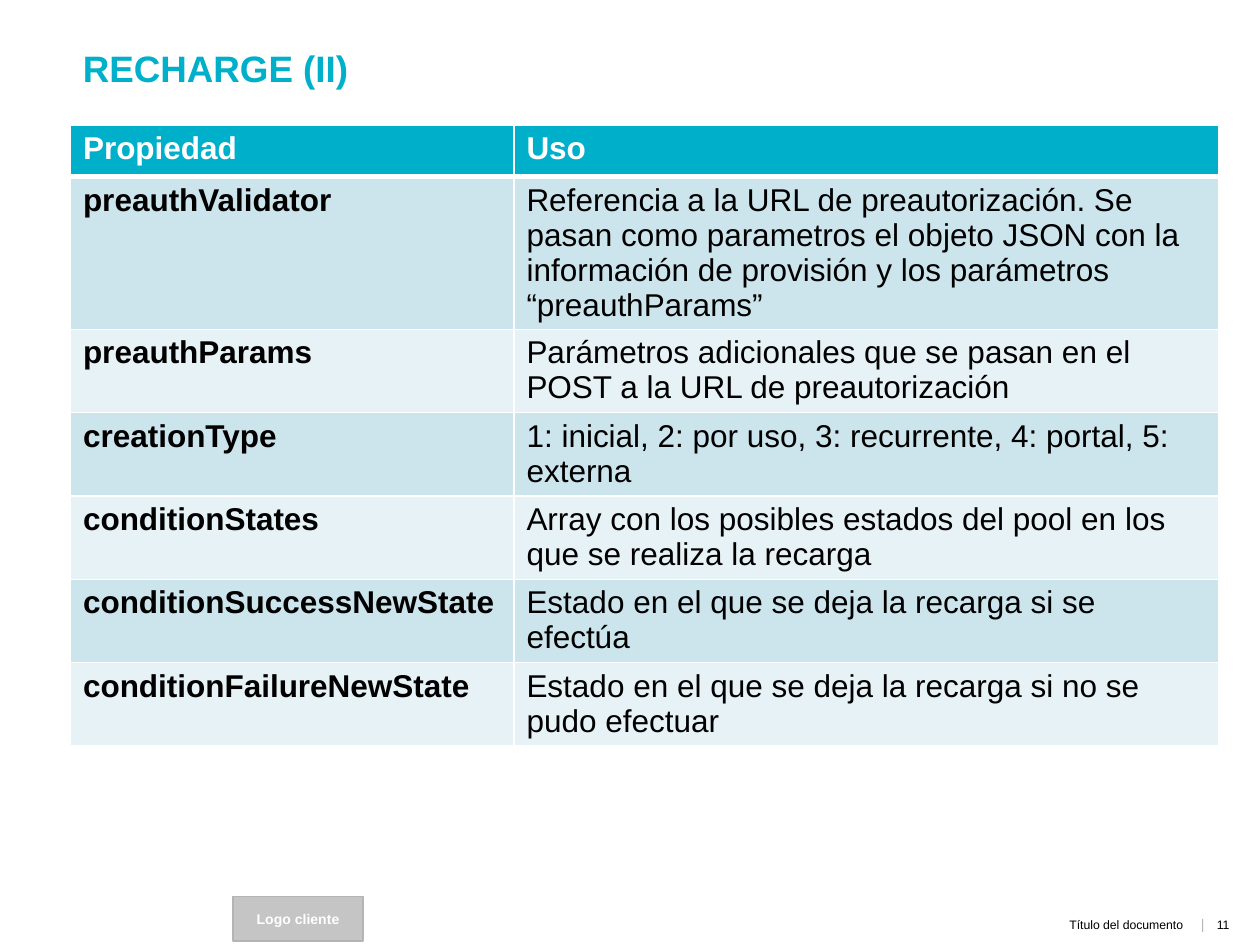
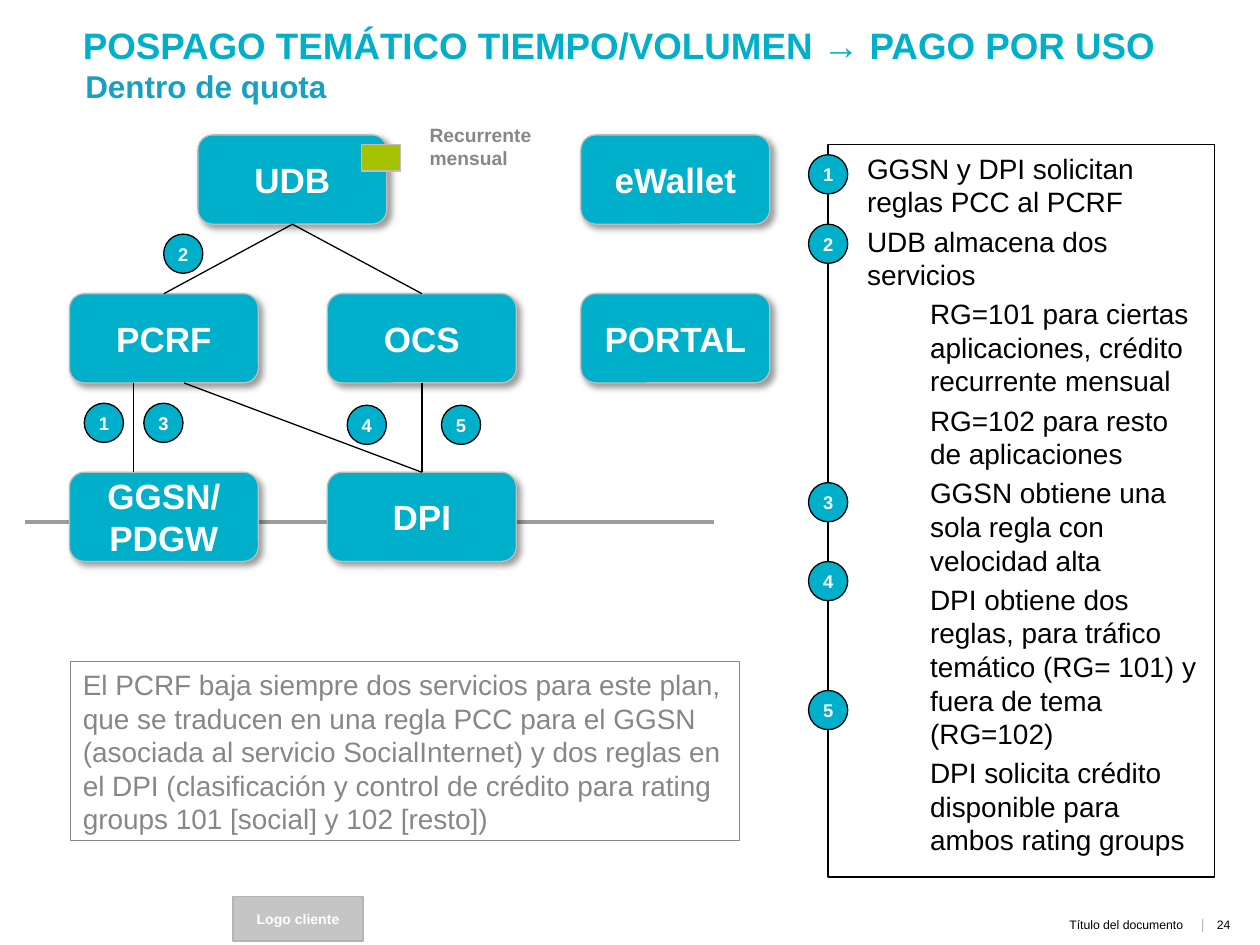
"""Build two slides: a property table and a postpaid charging diagram."""
from dataclasses import dataclass, replace

from lxml import etree
from pptx import Presentation
from pptx import util as u
from pptx.dml.color import RGBColor
from pptx.enum import shapes, text
from pptx.oxml import parse_xml
from pptx.oxml.ns import nsdecls, qn

COLORS = {
    "brand": "00B0CA", "subtitle": "17A0C1", "black": "000000", "white": "FFFFFF",
    "gray": "878787", "edge": "BDBDBD", "marker": "A4C200", "logo": "B4B4B4",
    "backbone": "9C9C9C", "divider": "B6B6B6", "band": "CCE4EC", "light_band": "E7F2F6",
}
FONT = "Arial"
SHAPE = shapes.MSO_SHAPE
LEFT, CENTER, RIGHT = text.PP_ALIGN.LEFT, text.PP_ALIGN.CENTER, text.PP_ALIGN.RIGHT
TOP, MIDDLE = text.MSO_ANCHOR.TOP, text.MSO_ANCHOR.MIDDLE
INSETS = (0.25, 0.13, 0.25, 0.13)
NO_INSETS = (0, 0, 0, 0)
SIDE_TOP, SIDE_BOTTOM = 0, 2


@dataclass(frozen=True)
class Style:
    size: float
    color: str = "black"
    bold: bool = False
    align: int = LEFT
    anchor: int = TOP
    insets: tuple = INSETS
    line_pitch: float = 0
    before: float = 0
    wrap: bool = True


@dataclass(frozen=True)
class Area:
    left: float
    top: float
    width: float
    height: float

    def lengths(self) -> list:
        return [u.Cm(v) for v in (self.left, self.top, self.width, self.height)]


@dataclass(frozen=True)
class Node:
    label: str
    left: float
    top: float


@dataclass(frozen=True)
class Badge:
    number: int
    left: float
    top: float


TITLE = Style(21, "brand", True)
SUBTITLE = Style(18, "subtitle", True, wrap=False)
FOOTER = Style(7, align=RIGHT, anchor=MIDDLE, insets=NO_INSETS)
DIVIDER = replace(FOOTER, size=8, color="divider")
PAGE_NUMBER = Style(7)
LOGO = Style(8, "white", True, CENTER, MIDDLE)
CELL = Style(18, line_pitch=20)
NODE = Style(20, "white", True, CENTER, MIDDLE, line_pitch=24)
BADGE = Style(10.5, "white", True, CENTER, MIDDLE, NO_INSETS, wrap=False)
BODY = Style(16, "gray", line_pitch=19.2, before=3.2)
STEPS = replace(BODY, color="black", insets=(0.79, 0.13, 0.2, 0.13))
CAPTION = Style(11, "gray", True, line_pitch=13.2)

NODE_WIDTH, NODE_HEIGHT = 3.81, 1.8
COLUMNS = (1.4, 6.6, 11.71)
ROWS = (2.72, 5.92, 9.52)
NODES = (
    Node("UDB", 3.99, ROWS[0]), Node("eWallet", COLUMNS[2], ROWS[0]),
    Node("PCRF", COLUMNS[0], ROWS[1]), Node("OCS", COLUMNS[1], ROWS[1]),
    Node("PORTAL", COLUMNS[2], ROWS[1]),
    Node("GGSN/\nPDGW", COLUMNS[0], ROWS[2]), Node("DPI", COLUMNS[1], ROWS[2]),
)
LINKS = (("UDB", "PCRF"), ("UDB", "OCS"), ("OCS", "DPI"))
BADGE_SIZE = 0.79
STEP_LEFT = 16.3
BADGES = (
    Badge(2, 3.3, 4.72), Badge(1, 1.7, 8.13), Badge(3, 2.9, 8.13),
    Badge(4, 7.0, 8.17), Badge(5, 8.9, 8.17),
    *(Badge(n, STEP_LEFT, top) for n, top in enumerate((3.12, 4.52, 9.73, 11.32, 13.92), 1)),
)
STEP_TEXTS = (
    "GGSN y DPI solicitan reglas PCC al PCRF",
    "UDB almacena dos servicios",
    "RG=101 para ciertas aplicaciones, crédito recurrente mensual",
    "RG=102 para resto de aplicaciones",
    "GGSN obtiene una sola regla con velocidad alta",
    "DPI obtiene dos reglas, para tráfico temático (RG= 101) y fuera de tema (RG=102)",
    "DPI solicita crédito disponible para ambos rating groups",
)
PLAN_NOTE = (
    "El PCRF baja siempre dos servicios para este plan, que se traducen en una regla PCC "
    "para el GGSN (asociada al servicio SocialInternet) y dos reglas en el DPI (clasificación "
    "y control de crédito para rating groups 101 [social] y 102 [resto])"
)
PROPERTIES = (
    ("Propiedad", "Uso"),
    ("preauthValidator", "Referencia a la URL de preautorización. Se pasan como parametros el "
     "objeto JSON con la información de provisión y los parámetros “preauthParams”"),
    ("preauthParams", "Parámetros adicionales que se pasan en el POST a la URL de preautorización"),
    ("creationType", "1: inicial, 2: por uso, 3: recurrente, 4: portal, 5: externa"),
    ("conditionStates", "Array con los posibles estados del pool en los que se realiza la recarga"),
    ("conditionSuccessNewState", "Estado en el que se deja la recarga si se efectúa"),
    ("conditionFailureNewState", "Estado en el que se deja la recarga si no se pudo efectuar"),
)
PROPERTY_WIDTHS = (8.94, 14.2)
PROPERTY_HEIGHTS = (1.04, 3.07, *[1.68] * 5)


def rgb(name: str) -> RGBColor:
    return RGBColor.from_string(COLORS[name])


def write(frame, lines, style: Style) -> None:
    for index, line in enumerate(lines):
        para = frame.paragraphs[0] if index == 0 else frame.add_paragraph()
        para.alignment = style.align
        if style.line_pitch:
            para.line_spacing = u.Pt(style.line_pitch)
        if style.before:
            para.space_before = u.Pt(style.before)
        span = para.add_run()
        span.text = line
        span.font.name, span.font.size = FONT, u.Pt(style.size)
        span.font.bold, span.font.color.rgb = style.bold, rgb(style.color)


def fill_frame(box, lines, style: Style) -> None:
    frame = box.text_frame
    frame.word_wrap, frame.vertical_anchor = style.wrap, style.anchor
    (frame.margin_left, frame.margin_top,
     frame.margin_right, frame.margin_bottom) = [u.Cm(v) for v in style.insets]
    write(frame, lines, style)


def add_text(page, area: Area, line: str, style: Style) -> None:
    fill_frame(page.shapes.add_textbox(*area.lengths()), [line], style)


def add_box(page, kind, area: Area, fill: str, edge: str, lines=(), style: Style = BODY):
    box = page.shapes.add_shape(kind, *area.lengths())
    box.shadow.inherit = False
    if fill:
        box.fill.solid()
        box.fill.fore_color.rgb = rgb(fill)
    else:
        box.fill.background()
    box.line.color.rgb, box.line.width = rgb(edge), u.Pt(0.75)
    fill_frame(box, lines, style)
    return box


def add_line(page, start: tuple, end: tuple, color: str = "black", width: float = 0.75):
    line = page.shapes.add_connector(
        shapes.MSO_CONNECTOR.STRAIGHT, *[u.Cm(v) for v in (*start, *end)])
    line.line.color.rgb, line.line.width = rgb(color), u.Pt(width)
    etree.SubElement(line._element.spPr, qn("a:effectLst"))
    return line


def add_node(page, node: Node):
    area = Area(node.left, node.top, NODE_WIDTH, NODE_HEIGHT)
    box = add_box(page, SHAPE.ROUNDED_RECTANGLE, area, "brand", "edge",
                  node.label.split("\n"), NODE)
    box._element.spPr.find(qn("a:effectLst")).append(parse_xml(
        f'<a:outerShdw {nsdecls("a")} blurRad="50800" dist="38100" dir="2700000">'
        f'<a:srgbClr val="{COLORS["black"]}"><a:alpha val="40000"/></a:srgbClr></a:outerShdw>'))
    return box


def style_cell(cell, line: str, fill: str, style: Style, top: float, bottom: float) -> None:
    properties = cell._tc.get_or_add_tcPr()
    for side, width in (("L", 1), ("R", 1), ("T", top), ("B", bottom)):
        properties.append(parse_xml(
            f'<a:ln{side} {nsdecls("a")} w="{u.Pt(width)}"><a:solidFill>'
            f'<a:srgbClr val="{COLORS["white"]}"/></a:solidFill></a:ln{side}>'))
    cell.fill.solid()
    cell.fill.fore_color.rgb = rgb(fill)
    write(cell.text_frame, [line], style)


def add_page(deck, number: int, title: str, title_area: Area):
    page = deck.slides.add_slide(deck.slide_layouts[6])
    add_text(page, Area(8.66, 18.44, 15.19, 0.41), "Título del documento", FOOTER)
    add_text(page, Area(24.28, 18.36, 1.1, 0.61), str(number), PAGE_NUMBER)
    add_text(page, Area(24.08, 18.42, 0.2, 0.41), "|", DIVIDER)
    logo = add_box(page, SHAPE.RECTANGLE, Area(4.7, 18.08, 2.62, 0.89), "logo", "logo",
                   ["Logo cliente"], LOGO)
    color = logo._element.spPr.find(qn("a:solidFill")).find(qn("a:srgbClr"))
    etree.SubElement(color, qn("a:alpha")).set("val", "76000")
    add_text(page, title_area, title, TITLE)
    return page


def build_recharge(deck) -> None:
    page = add_page(deck, 11, "RECHARGE (II)", Area(1.42, 0.79, 23.09, 1.5))
    area = Area(1.42, 2.52, sum(PROPERTY_WIDTHS), sum(PROPERTY_HEIGHTS))
    table = page.shapes.add_table(len(PROPERTIES), 2, *area.lengths()).table
    table.first_row = table.horz_banding = False
    for column, width in zip(table.columns, PROPERTY_WIDTHS):
        column.width = u.Cm(width)
    for r, (row, height) in enumerate(zip(table.rows, PROPERTY_HEIGHTS)):
        row.height = u.Cm(height)
        fill = "brand" if r == 0 else ("light_band", "band")[r % 2]
        for c, line in enumerate(PROPERTIES[r]):
            style = replace(CELL, bold=r == 0 or c == 0, color="white" if r == 0 else "black")
            style_cell(row.cells[c], line, fill, style,
                       top=3 if r == 1 else 1, bottom=3 if r == 0 else 1)


def build_postpaid(deck) -> None:
    page = add_page(deck, 24, "POSPAGO TEMÁTICO TIEMPO/VOLUMEN → PAGO POR USO",
                    Area(1.42, 0.33, 23.09, 1.12))
    add_text(page, Area(1.47, 1.22, 5.44, 1.02), "Dentro de quota", SUBTITLE)
    add_line(page, (0.51, 10.52), (14.4, 10.52), "backbone", 2.25)
    add_box(page, SHAPE.RECTANGLE, Area(1.42, 13.33, 13.49, 3.61), "", "gray", [PLAN_NOTE], BODY)
    steps = add_box(page, SHAPE.RECTANGLE, Area(16.69, 2.92, 7.8, 14.76), "", "black",
                    STEP_TEXTS, STEPS)
    for para in steps.text_frame.paragraphs[2:]:
        para._p.get_or_add_pPr().set("marL", str(u.Cm(1.27)))

    boxes = {node.label: add_node(page, node) for node in NODES}
    for upper, lower in LINKS:
        link = add_line(page, (0, 0), (1, 1))
        link.begin_connect(boxes[upper], SIDE_BOTTOM)
        link.end_connect(boxes[lower], SIDE_TOP)
    pcrf_bottom = ROWS[1] + NODE_HEIGHT
    add_line(page, (2.69, ROWS[2]), (2.69, pcrf_bottom))
    rules_link = add_line(page, (COLUMNS[1] + NODE_WIDTH / 2, ROWS[2]), (3.71, pcrf_bottom))
    rules_link.begin_connect(boxes["DPI"], SIDE_TOP)

    for badge in BADGES:
        add_box(page, SHAPE.OVAL, Area(badge.left, badge.top, BADGE_SIZE, BADGE_SIZE),
                "brand", "black", [str(badge.number)], BADGE)
    add_box(page, SHAPE.RECTANGLE, Area(7.29, 2.92, 0.79, 0.53), "marker", "edge")
    add_text(page, Area(8.41, 2.36, 3.3, 1.19), "Recurrente mensual", CAPTION)


def main() -> None:
    deck = Presentation()
    deck.slide_width, deck.slide_height = u.Cm(25.4), u.Cm(19.05)
    build_recharge(deck)
    build_postpaid(deck)
    deck.save("out.pptx")


if __name__ == "__main__":
    main()
